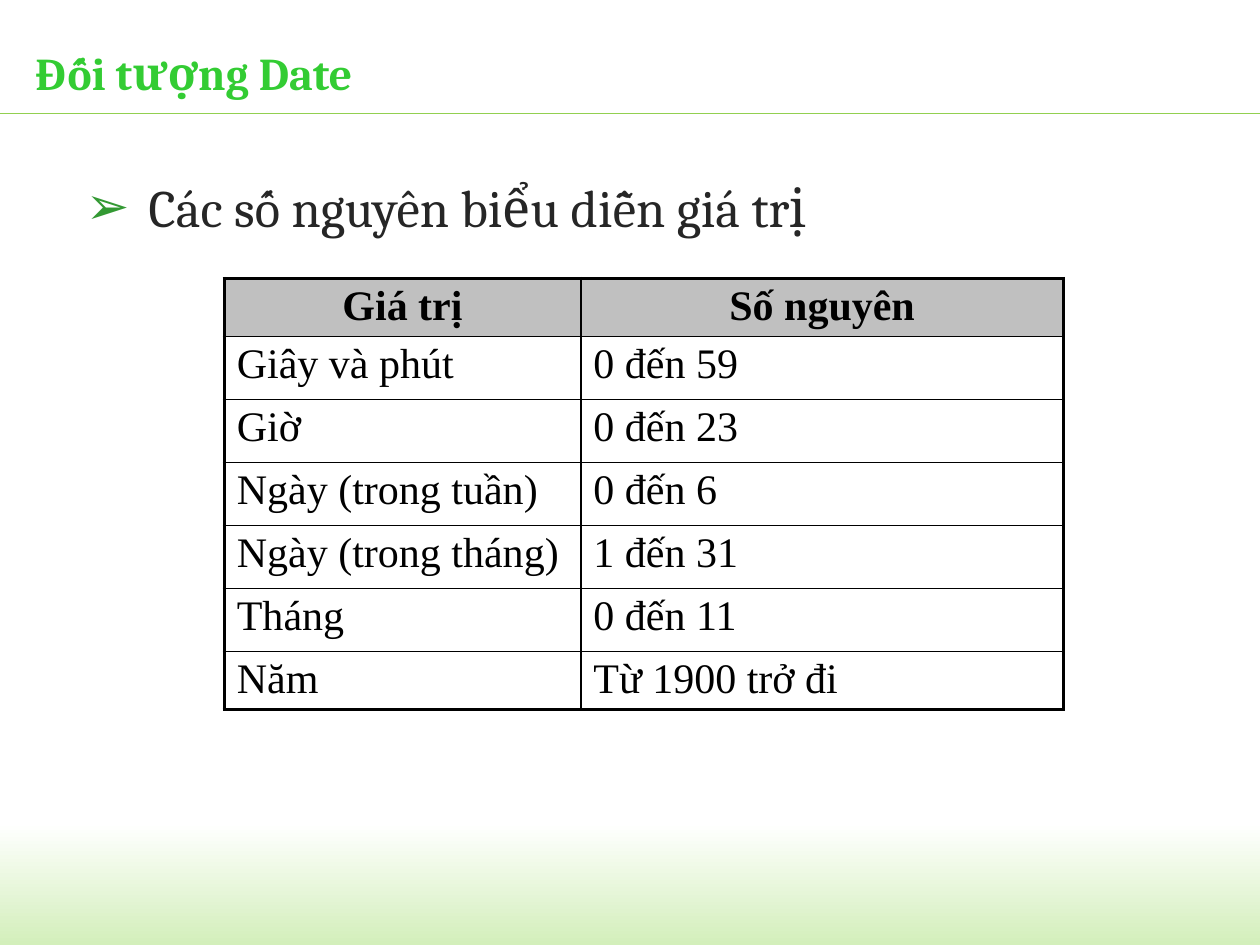
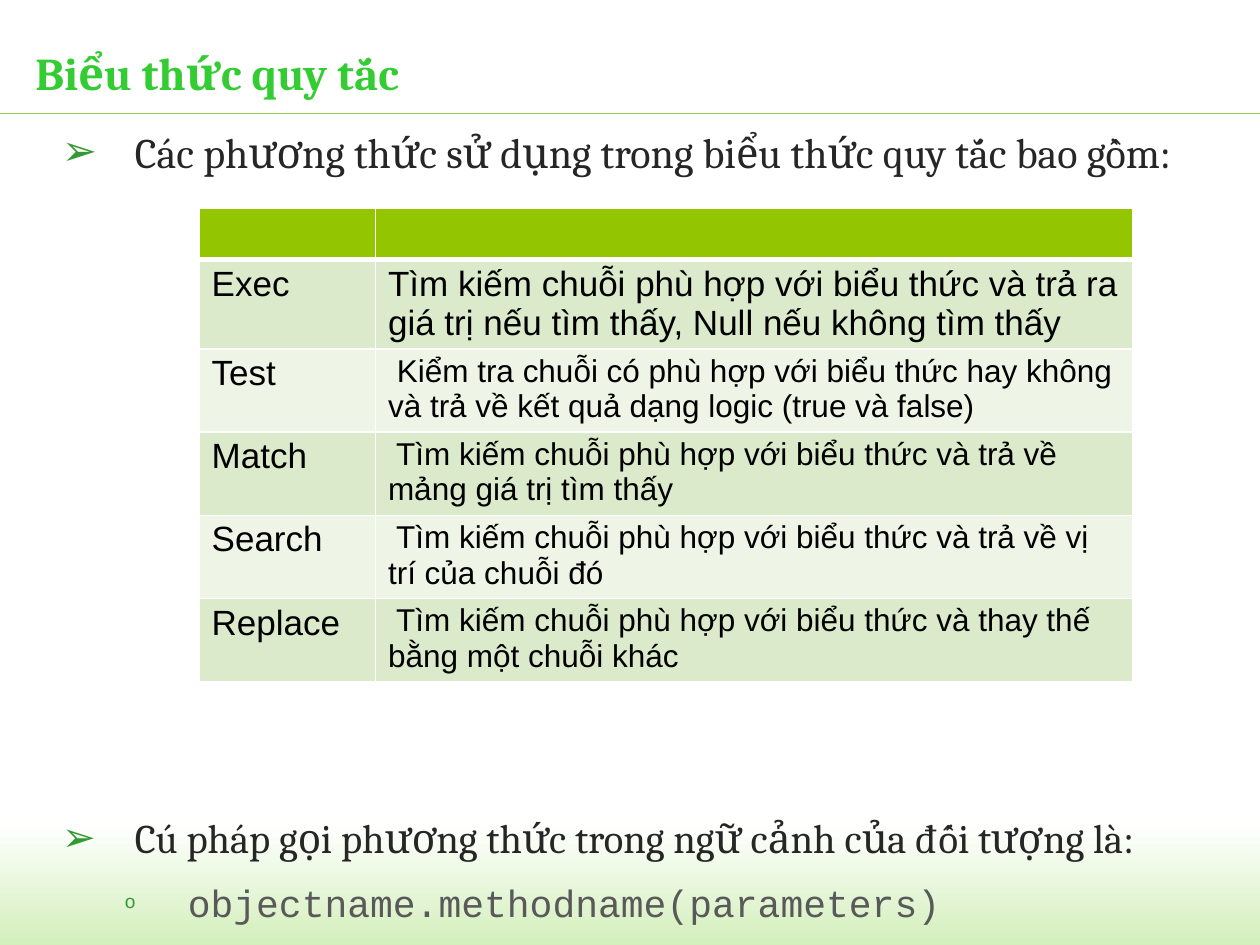
from dataclasses import dataclass
from typing import NamedTuple

from lxml.etree import SubElement
from pptx import Presentation
from pptx.dml.color import RGBColor
from pptx.enum.shapes import MSO_CONNECTOR, MSO_SHAPE
from pptx.enum.text import MSO_ANCHOR as ANCHOR, MSO_AUTO_SIZE as AUTO, PP_ALIGN as ALIGN
from pptx.oxml.ns import qn
from pptx.util import Pt

# Lengths are in px, 100 to the inch
EMU_PER_PX = 9144

BLACK = RGBColor(0x00, 0x00, 0x00)
WHITE = RGBColor(0xFF, 0xFF, 0xFF)
GRAY = RGBColor(0xC0, 0xC0, 0xC0)
TITLE_GREEN = RGBColor(0x33, 0xCC, 0x33)
BULLET_GREEN = RGBColor(0x33, 0x99, 0x33)
RULE_GREEN = RGBColor(0x92, 0xD0, 0x50)
BAND_GREEN = RGBColor(0xD3, 0xEF, 0xBB)
HEAD_GREEN = RGBColor(0x94, 0xC6, 0x00)
ROW_GREEN = RGBColor(0xDC, 0xEA, 0xCC)
ROW_PALE = RGBColor(0xEE, 0xF5, 0xE7)
INK = RGBColor(0x26, 0x26, 0x26)
CODE_INK = RGBColor(0x59, 0x59, 0x59)

SERIF = "Cambria"
MONO = "Courier New"


class Box(NamedTuple):
    left: int
    top: int
    width: int
    height: int


class Cell(NamedTuple):
    text: str
    size: int


@dataclass
class Bullet:
    text: str
    size: float
    indent: int
    hanging: int
    font: str = SERIF
    color: RGBColor = INK
    level: int = 0
    char: str = "➢"
    char_pct: int = 100
    before: int = 0
    line_spacing: float = 1.0
    align: ALIGN = ALIGN.LEFT


@dataclass
class Grid:
    left: int
    top: int
    cols: list[int]
    rows: list[int]
    cells: list[list[Cell]]
    font: str
    head_fill: RGBColor
    row_fills: list[RGBColor]
    line: RGBColor
    outer: float
    head_rule: float
    inner: float = 1


def px(n: int) -> int:
    return n * EMU_PER_PX


def place(sp, box: Box) -> None:
    sp.left, sp.top, sp.width, sp.height = map(px, box)


def write(p, text: str, *, size: float, font: str, color: RGBColor,
          bold: bool = False, align: ALIGN = ALIGN.LEFT) -> None:
    p.alignment = align
    r = p.add_run()
    r.text = text
    r.font.size, r.font.name, r.font.bold = Pt(size), font, bold
    r.font.color.rgb = color


def open_frame(sp, box: Box, anchor: ANCHOR):
    place(sp, box)
    tf = sp.text_frame
    tf.auto_size, tf.word_wrap, tf.vertical_anchor = AUTO.NONE, True, anchor
    tf.margin_left = tf.margin_top = tf.margin_right = tf.margin_bottom = 0
    return tf


def set_bullet(p, b: Bullet) -> None:
    pPr = p._p.get_or_add_pPr()
    pPr.set("marL", str(px(b.indent)))
    pPr.set("indent", str(-px(b.hanging)))
    SubElement(SubElement(pPr, qn("a:buClr")), qn("a:srgbClr"), val=str(BULLET_GREEN))
    SubElement(pPr, qn("a:buSzPct"), val=str(b.char_pct * 1000))
    SubElement(pPr, qn("a:buFont"), typeface="Arial")
    SubElement(pPr, qn("a:buChar"), char=b.char)


def add_list(slide, box: Box, bullets: list[Bullet]) -> None:
    tf = open_frame(slide.placeholders[1], box, ANCHOR.TOP)
    for i, b in enumerate(bullets):
        p = tf.add_paragraph() if i else tf.paragraphs[0]
        p.level = b.level
        p.line_spacing = b.line_spacing
        p.space_before, p.space_after = Pt(b.before), Pt(10)
        write(p, b.text, size=b.size, font=b.font, color=b.color, align=b.align)
        set_bullet(p, b)


def add_title(slide, text: str) -> None:
    tf = open_frame(slide.shapes.title, Box(28, 25, 937, 64), ANCHOR.MIDDLE)
    write(tf.paragraphs[0], text, size=26, font=SERIF, color=TITLE_GREEN, bold=True)


def set_border(cell, side: str, color: RGBColor, width: float) -> None:
    ln = SubElement(cell._tc.get_or_add_tcPr(), qn(f"a:ln{side}"), w=str(Pt(width)))
    SubElement(SubElement(ln, qn("a:solidFill")), qn("a:srgbClr"), val=str(color))


def add_grid(slide, g: Grid) -> None:
    n_rows, n_cols = len(g.rows), len(g.cols)
    tbl = slide.shapes.add_table(n_rows, n_cols, px(g.left), px(g.top),
                                 px(sum(g.cols)), px(sum(g.rows))).table
    tbl.first_row = tbl.horz_banding = False
    for col, width in zip(tbl.columns, g.cols):
        col.width = px(width)
    for row, height in zip(tbl.rows, g.rows):
        row.height = px(height)

    # Line widths between rows and between columns, from edge to edge
    across = [g.outer, g.head_rule] + [g.inner] * (n_rows - 2) + [g.outer]
    down = [g.outer] + [g.inner] * (n_cols - 1) + [g.outer]
    for i, row in enumerate(g.cells):
        for j, item in enumerate(row):
            cell = tbl.cell(i, j)
            widths = (down[j], down[j + 1], across[i], across[i + 1])
            for side, width in zip("LRTB", widths):
                set_border(cell, side, g.line, width)
            cell.fill.solid()
            cell.fill.fore_color.rgb = (
                g.row_fills[(i - 1) % len(g.row_fills)] if i else g.head_fill)
            cell.margin_top = cell.margin_bottom = px(4)
            if item.text:
                write(cell.text_frame.paragraphs[0], item.text, size=item.size,
                      font=g.font, color=BLACK, bold=i == 0,
                      align=ALIGN.LEFT if i else ALIGN.CENTER)


def decorate_layout(slide) -> None:
    """Draw the footer band and title rule, then hand them to the layout."""
    band = slide.shapes.add_shape(MSO_SHAPE.RECTANGLE, *map(px, Box(-3, 653, 1003, 97)))
    band.shadow.inherit = False
    band.line.fill.background()
    band.fill.gradient()
    band.fill.gradient_angle = 270
    for stop, color in zip(band.fill.gradient_stops, (WHITE, BAND_GREEN)):
        stop.color.rgb = color

    rule = slide.shapes.add_connector(MSO_CONNECTOR.STRAIGHT, 0, px(90), px(1000), px(90))
    rule.line.color.rgb, rule.line.width = RULE_GREEN, Pt(0.75)
    SubElement(rule._element.spPr, qn("a:effectLst"))

    tree = slide.slide_layout.shapes._spTree
    for i, sp in enumerate((band, rule)):
        tree.insert(2 + i, sp._element)


def build_date_slide(slide) -> None:
    add_title(slide, "Đối tượng Date")
    add_list(slide, Box(68, 119, 850, 390), [
        Bullet("Các số nguyên biểu diễn giá trị", 30, 50, 50,
               line_spacing=1.4, align=ALIGN.JUSTIFY)])
    values = [
        ("Giá trị", "Số nguyên"),
        ("Giây và phút", "0 đến 59"),
        ("Giờ", "0 đến 23"),
        ("Ngày (trong tuần)", "0 đến 6"),
        ("Ngày (trong tháng)", "1 đến 31"),
        ("Tháng", "0 đến 11"),
        ("Năm", "Từ 1900 trở đi"),
    ]
    add_grid(slide, Grid(
        178, 221, [283, 383], [46] + [50] * 5 + [46],
        [[Cell(text, 24) for text in row] for row in values],
        "Times New Roman", GRAY, [WHITE], BLACK, outer=2.25, head_rule=1))


def build_regex_slide(slide) -> None:
    add_title(slide, "Biểu thức quy tắc")
    add_list(slide, Box(49, 100, 903, 615), [
        Bullet("Các phương thức sử dụng trong biểu thức quy tắc bao gồm:", 24, 58, 58),
        Bullet("Cú pháp gọi phương thức trong ngữ cảnh của đối tượng là:", 23.2, 58, 58,
               before=354),
        Bullet("objectname.methodname(parameters)", 21.7, 100, 50, font=MONO,
               color=CODE_INK, level=1, char="o", char_pct=50)])
    methods = [
        ("", "", 18),
        ("Exec", "Tìm kiếm chuỗi phù hợp với biểu thức và trả ra giá trị nếu tìm thấy, "
                 "Null nếu không tìm thấy", 20),
        ("Test", " Kiểm tra chuỗi có phù hợp với biểu thức hay không và trả về kết quả "
                 "dạng logic (true và false)", 18),
        ("Match", " Tìm kiếm chuỗi phù hợp với biểu thức và trả về mảng giá trị tìm thấy", 18),
        ("Search", " Tìm kiếm chuỗi phù hợp với biểu thức và trả về vị trí của chuỗi đó", 18),
        ("Replace", " Tìm kiếm chuỗi phù hợp với biểu thức và thay thế bằng một chuỗi khác", 18),
    ]
    add_grid(slide, Grid(
        158, 165, [140, 601], [41, 71] + [66] * 4,
        [[Cell(name, 20), Cell(text, size)] for name, text, size in methods],
        "Arial", HEAD_GREEN, [ROW_GREEN, ROW_PALE], WHITE, outer=1, head_rule=3))


def main() -> None:
    prs = Presentation()
    prs.slide_width, prs.slide_height = px(1000), px(750)
    layout = prs.slide_layouts[1]
    for i, build in enumerate((build_date_slide, build_regex_slide)):
        slide = prs.slides.add_slide(layout)
        if i == 0:
            decorate_layout(slide)
        build(slide)
    prs.save("out.pptx")


if __name__ == "__main__":
    main()
